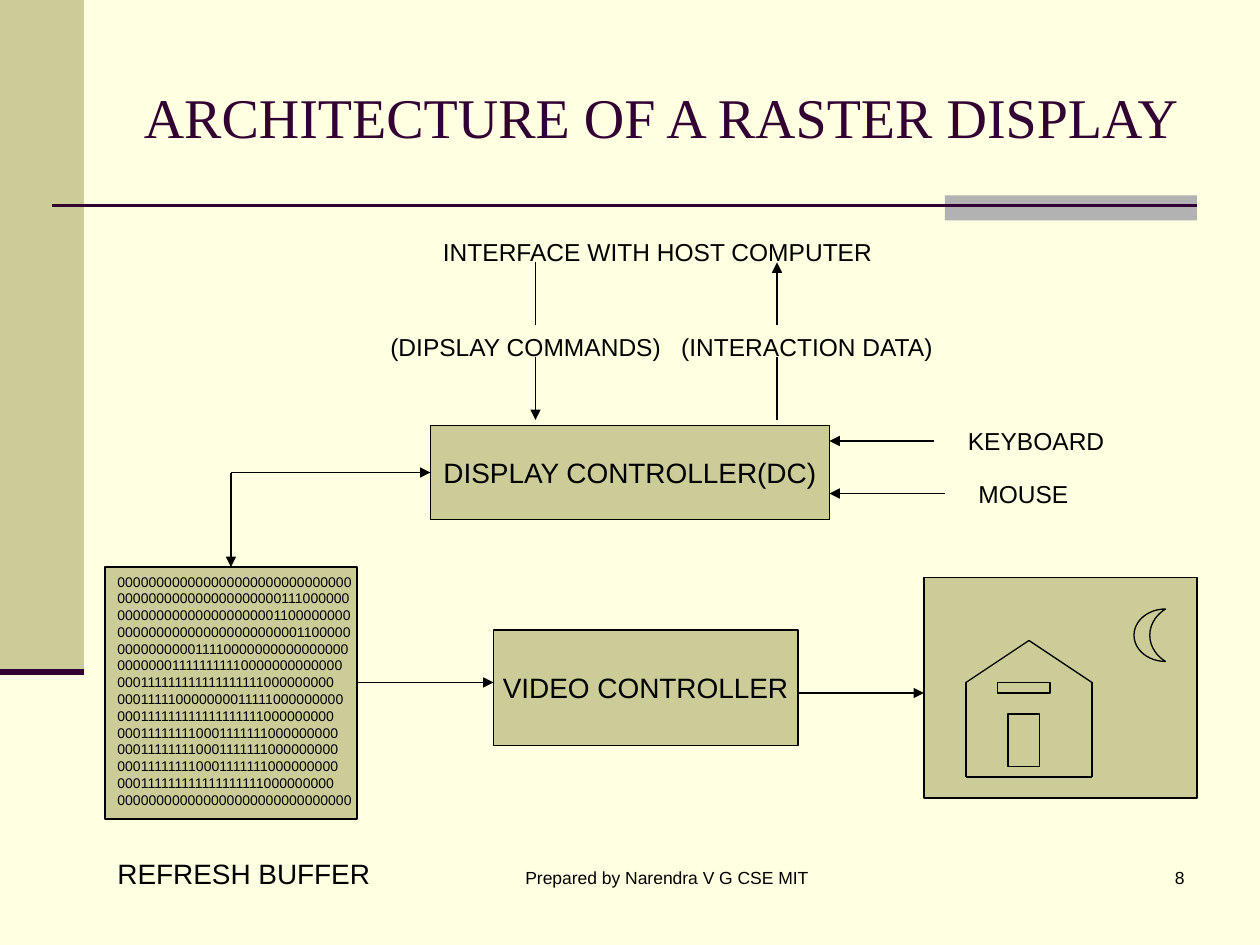
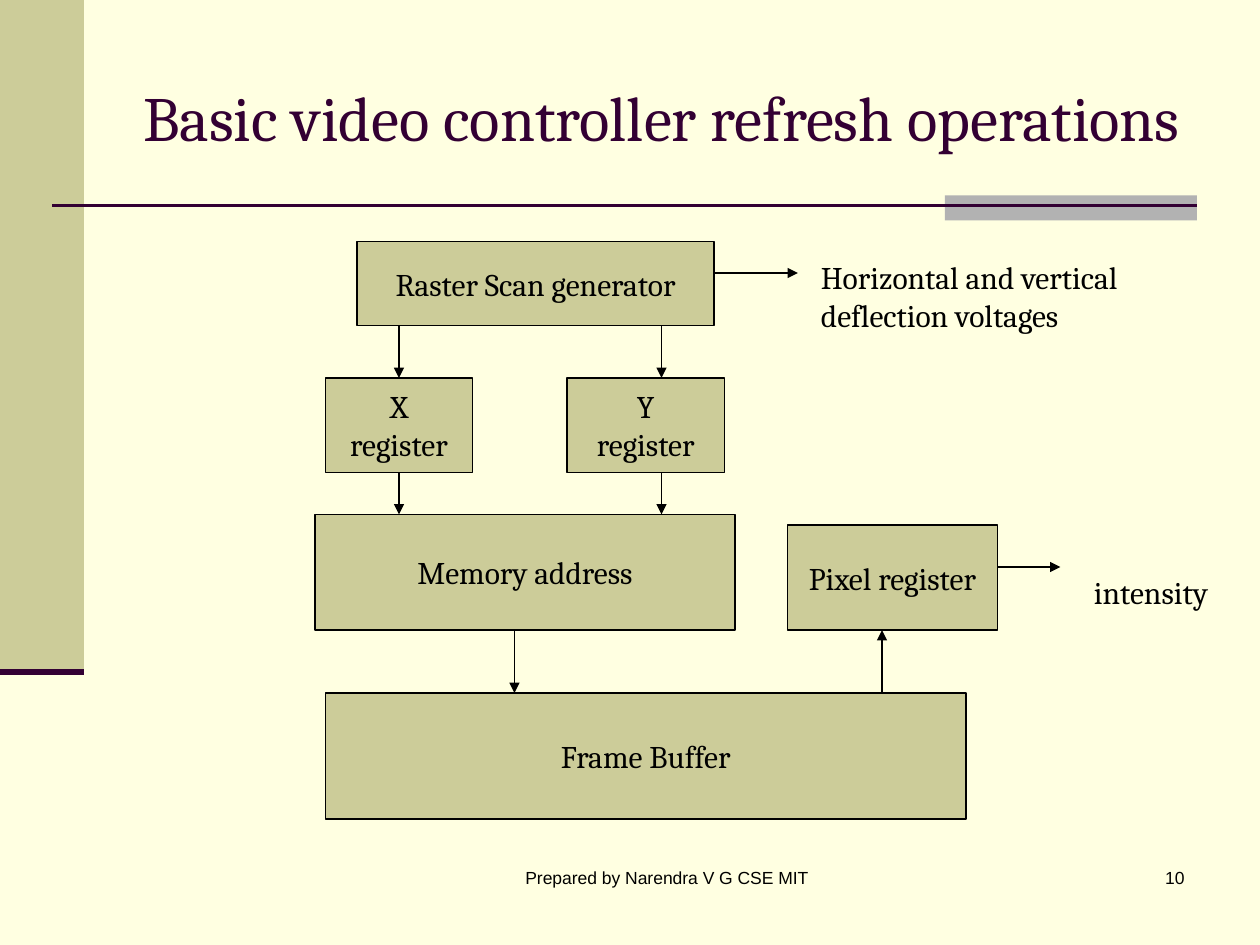
"""Build two slides on raster displays: architecture and video controller refresh."""
import pptx
import pptx.util
import pptx.dml.color
import pptx.enum.shapes
import pptx.enum.text
import pptx.oxml
import pptx.oxml.ns

PX = 7620
Pt = pptx.util.Pt
Form = pptx.enum.shapes.MSO_SHAPE
Align = pptx.enum.text.PP_ALIGN
Anchor = pptx.enum.text.MSO_ANCHOR
Color = pptx.dml.color.RGBColor.from_string


class Theme:
    page = Color("FFFFE1")
    khaki = Color("CCCC99")
    grey = Color("B2B2B2")
    plum = Color("330033")
    ink = Color("000000")
    thin = Pt(0.75)
    rule = Pt(1.5)
    thick = Pt(3.5)
    head = {"name": "Times New Roman", "size": Pt(32)}
    serif = {"name": "Cambria", "size": Pt(36)}
    body = {"name": "Cambria", "size": Pt(18)}
    foot = {"name": "Arial", "size": Pt(10)}
    bits = {"name": "Arial", "size": Pt(8)}
    label = {"name": "Arial", "size": Pt(14)}
    block = {"name": "Arial", "size": Pt(16)}


def box(slide, area, text="", font=None, fill=None, edge=Theme.ink, form=Form.RECTANGLE,
        align=Align.LEFT, anchor=Anchor.TOP, wrap=True, color=Theme.ink):
    place = [v * PX for v in area]
    if fill is None:
        shape = slide.shapes.add_textbox(*place)
    else:
        shape = slide.shapes.add_shape(form, *place)
        shape.shadow.inherit = False
        shape.fill.solid()
        shape.fill.fore_color.rgb = fill
        if edge is None:
            shape.line.fill.background()
        else:
            shape.line.color.rgb = edge
            shape.line.width = Theme.thin
    if text:
        frame = shape.text_frame
        frame.text = text
        for key, value in {"word_wrap": wrap, "vertical_anchor": anchor}.items():
            setattr(frame, key, value)
        for para in frame.paragraphs:
            para.alignment = align
            for run in para.runs:
                run.font.color.rgb = color
                for key, value in font.items():
                    setattr(run.font, key, value)
    return shape


def link(slide, ends, arrow=False, color=Theme.ink, width=Theme.thin):
    kind = pptx.enum.shapes.MSO_CONNECTOR.STRAIGHT
    line = slide.shapes.add_connector(kind, *[v * PX for v in ends])
    line.line.color.rgb = color
    line.line.width = width
    if arrow:
        tip = pptx.oxml.parse_xml(f'<a:tailEnd {pptx.oxml.ns.nsdecls("a")} type="triangle"/>')
        line.line._get_or_add_ln().append(tip)
    flat = pptx.oxml.parse_xml(f'<a:effectLst {pptx.oxml.ns.nsdecls("a")}/>')
    line._element.spPr.append(flat)


deck = pptx.Presentation()
deck.slide_width = 1200 * PX
deck.slide_height = 900 * PX
mid = {"align": Align.CENTER, "anchor": Anchor.MIDDLE}
node = {"fill": Theme.khaki, "wrap": False, **mid}

slides = []
for title, font, page in (
    ("ARCHITECTURE OF A RASTER DISPLAY", Theme.head, "8"),
    ("Basic video controller refresh operations", Theme.serif, "10"),
):
    slide = deck.slides.add_slide(deck.slide_layouts[6])
    slide.background.fill.solid()
    slide.background.fill.fore_color.rgb = Theme.page
    box(slide, (0, 0, 80, 640), fill=Theme.khaki, edge=None)
    box(slide, (900, 186, 240, 24), fill=Theme.grey, edge=None)
    link(slide, (50, 196, 1140, 196), color=Theme.plum, width=Theme.rule)
    link(slide, (0, 640, 80, 640), color=Theme.plum, width=Theme.thick)
    box(slide, (120, 36, 1020, 150), title, font, color=Theme.plum, **mid)
    box(slide, (890, 820, 250, 60), page, Theme.foot, align=Align.RIGHT)
    box(slide, (440, 820, 390, 60), "Prepared by Narendra V G CSE MIT", Theme.foot,
        align=Align.CENTER)
    slides.append(slide)
raster, refresh = slides

bits = """000000000000000000000000000000
000000000000000000000111000000
000000000000000000001100000000
000000000000000000000001100000
000000000011110000000000000000
000000011111111110000000000000
000111111111111111111000000000
000111110000000011111000000000
000111111111111111111000000000
000111111110001111111000000000
000111111110001111111000000000
000111111110001111111000000000
000111111111111111111000000000
000000000000000000000000000000"""
box(raster, (100, 540, 240, 240), bits, Theme.bits, fill=Theme.khaki, wrap=False)
box(raster, (410, 405, 380, 90), "DISPLAY CONTROLLER(DC)", Theme.block, **node)
box(raster, (470, 600, 290, 110), "VIDEO CONTROLLER", Theme.block, **node)

screen = (880, 550, 260, 210)
window = (950, 650, 50, 10)
door = (960, 680, 30, 50)
for area in (screen, window, door):
    box(raster, area, fill=Theme.khaki)
box(raster, (1080, 580, 30, 50), fill=Theme.khaki, form=Form.MOON)
house = [(920, 650), (920, 740), (1040, 740), (1040, 650), (980, 610)]
for start, end in zip(house, house[1:] + house[:1]):
    link(raster, start + end)

for ends in (
    (340, 650, 470, 650), (760, 660, 880, 660),
    (220, 450, 220, 540), (220, 450, 410, 450),
    (890, 420, 790, 420), (900, 470, 790, 470),
    (510, 340, 510, 400), (740, 310, 740, 250),
):
    link(raster, ends, arrow=True)
for ends in ((510, 310, 510, 250), (740, 340, 740, 400)):
    link(raster, ends)

for area, text in (
    ((910, 400, 180, 41), "KEYBOARD"),
    ((920, 450, 160, 41), "MOUSE"),
    ((410, 220, 440, 41), "INTERFACE WITH HOST COMPUTER"),
):
    box(raster, area, text, Theme.label)
flow = box(raster, (360, 310, 550, 41), "(DIPSLAY COMMANDS)\t(INTERACTION DATA)", Theme.label)
stop = f'<a:tabLst {pptx.oxml.ns.nsdecls("a")}><a:tab pos="{277 * PX}" algn="l"/></a:tabLst>'
flow.text_frame.paragraphs[0]._p.get_or_add_pPr().append(pptx.oxml.parse_xml(stop))
box(raster, (100, 810, 320, 44), "REFRESH BUFFER", Theme.block)

for area, text in (
    ((340, 230, 340, 80), "Raster Scan generator"),
    ((310, 360, 140, 90), "X\nregister"),
    ((540, 360, 150, 90), "Y\nregister"),
    ((300, 490, 400, 110), "Memory address"),
    ((310, 660, 610, 120), "Frame Buffer"),
    ((750, 500, 200, 100), "Pixel register"),
):
    box(refresh, area, text, Theme.body, **node)
for x in (380, 630):
    for top, base in ((310, 360), (450, 490)):
        link(refresh, (x, top, x, base), arrow=True)
for ends in (
    (490, 600, 490, 660), (840, 660, 840, 600),
    (950, 540, 1010, 540), (680, 260, 760, 260),
):
    link(refresh, ends, arrow=True)
box(refresh, (1030, 540, 170, 48), "intensity", Theme.body)
box(refresh, (770, 240, 380, 84), "Horizontal and vertical deflection voltages", Theme.body)

deck.save("out.pptx")
